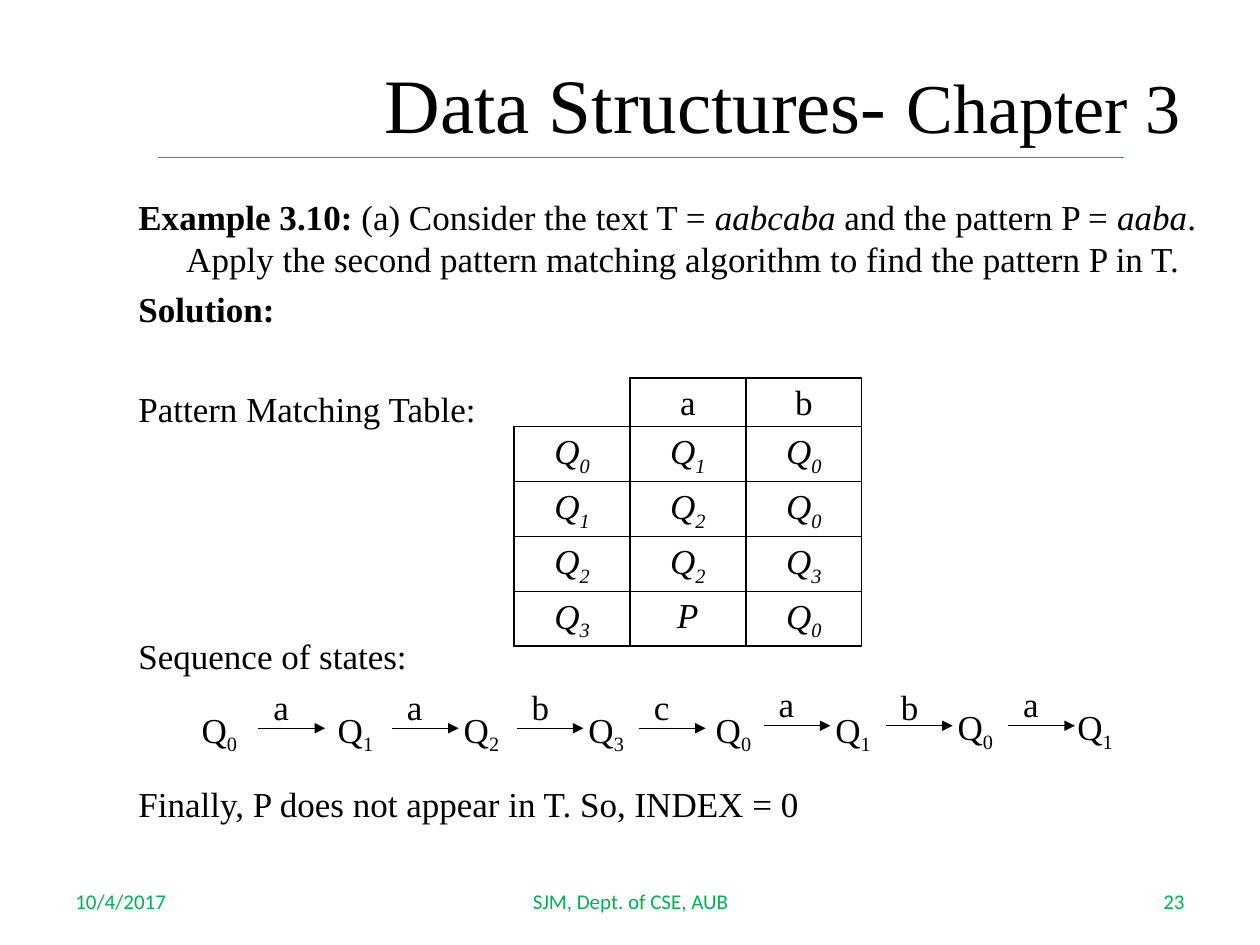
from dataclasses import dataclass

from lxml import etree
from pptx import Presentation
from pptx.dml.color import RGBColor
from pptx.enum import shapes, text
from pptx.oxml import ns
from pptx.util import Inches, Pt


@dataclass(frozen=True)
class Theme:
    ink: str = "000000"
    footer: str = "00B050"
    rule: str = "4B7EBC"
    serif: str = "Times New Roman"
    sans: str = "Calibri"
    title: int = 44
    chapter: int = 40
    body: int = 20
    small: int = 12


T = Theme()
LEFT, CENTER, RIGHT = (getattr(text.PP_ALIGN, a) for a in ("LEFT", "CENTER", "RIGHT"))
TOP, MIDDLE = text.MSO_ANCHOR.TOP, text.MSO_ANCHOR.MIDDLE
BOLD, ITALIC = {"bold": True}, {"italic": True}

# Content
TITLE = [("Data Structures- ", {"size": Pt(T.title)}),
         ("Chapter 3", {"size": Pt(T.chapter)})]
BODY = [  # (space before in points, runs)
    (4.8, [("Example 3.10:", BOLD), (" (a) Consider the text T = ", {}),
           ("aabcaba ", ITALIC), ("and the pattern P = ", {}), ("aaba", ITALIC),
           (". Apply the second pattern matching algorithm to find the pattern P in T.", {})]),
    (4.8, [("Solution:", BOLD)]),
    (33, [("Pattern Matching Table:", {})]),
    (117, [("Sequence of states:", {})]),
    (61, [("Finally, P does not appear in T. So, INDEX = 0", {})]),
]
TABLE = [["", "a", "b"],
         ["Q0", "Q1", "Q0"],
         ["Q1", "Q2", "Q0"],
         ["Q2", "Q2", "Q3"],
         ["Q3", "P", "Q0"]]
STATES = [("Q0", 1.6, 5.62), ("Q1", 2.68, 5.62), ("Q2", 3.68, 5.62), ("Q3", 4.67, 5.62),
          ("Q0", 5.68, 5.62), ("Q1", 6.63, 5.62), ("Q0", 7.6, 5.6), ("Q1", 8.55, 5.6)]
STEPS = [  # input letter, arrow left, arrow height, letter top
    ("a", 2.05, 5.78, 5.44), ("a", 3.11, 5.78, 5.44), ("b", 4.1, 5.78, 5.44),
    ("c", 5.07, 5.78, 5.44), ("a", 6.06, 5.76, 5.42), ("b", 7.03, 5.76, 5.44),
    ("a", 8, 5.76, 5.42)]
FOOTERS = [("10/4/2017", 0.5, 2.33, LEFT),
           ("SJM, Dept. of CSE, AUB", 3.42, 3.17, CENTER),
           ("23", 7.17, 2.33, RIGHT)]
ARROW_W, LETTER_DX = 0.53, 0.12
LABEL_W, LABEL_H = 0.41, 0.49
COL_W, ROW_H = 0.92, 0.38


def set_attrs(obj, values):
    for name, value in values.items():
        setattr(obj, name, value)


def add_runs(p, runs, color=T.ink, font=T.serif, size=T.body):
    for words, fmt in runs:
        r = p.add_run()
        r.text = words
        fmt = {"name": font, "size": Pt(size), **fmt}
        sub = fmt.pop("sub", False)
        set_attrs(r.font, fmt)
        r.font.color.rgb = RGBColor.from_string(color)
        if sub:
            r._r.get_or_add_rPr().set("baseline", "-25000")


def state_runs(name, **fmt):
    """Split a state such as Q0 into its letter and subscript."""
    runs = [(name[0], fmt)]
    if name[1:]:
        runs.append((name[1:], {**fmt, "sub": True}))
    return runs


def add_box(slide, x, y, w, h, anchor=TOP, inset=(0.1, 0.05)):
    sp = slide.shapes.add_textbox(*map(Inches, (x, y, w, h)))
    dx, dy = map(Inches, inset)
    set_attrs(sp.text_frame, {
        "word_wrap": True, "vertical_anchor": anchor, "margin_left": dx,
        "margin_right": dx, "margin_top": dy, "margin_bottom": dy})
    return sp.text_frame


def add_label(slide, name, x, y):
    p = add_box(slide, x, y, LABEL_W, LABEL_H, inset=(0, 0)).paragraphs[0]
    p.space_after = Pt(10)
    add_runs(p, state_runs(name))


def add_line(slide, x1, x2, y, color, arrow=False):
    line = slide.shapes.add_connector(
        shapes.MSO_CONNECTOR.STRAIGHT, *map(Inches, (x1, y, x2, y)))
    line.line.color.rgb = RGBColor.from_string(color)
    line.line.width = Pt(0.75)
    if arrow:
        etree.SubElement(line.line._get_or_add_ln(), ns.qn("a:tailEnd"), type="triangle")
    etree.SubElement(line._element.spPr, ns.qn("a:effectLst"))


def set_borders(cell, sides):
    tcPr = cell._tc.get_or_add_tcPr()
    for i, side in enumerate("LRTB"):
        ln = etree.Element(ns.qn(f"a:ln{side}"), w=str(Pt(1)))
        if side in sides:
            fill = etree.SubElement(ln, ns.qn("a:solidFill"))
            etree.SubElement(fill, ns.qn("a:srgbClr"), val=T.ink)
        else:
            etree.SubElement(ln, ns.qn("a:noFill"))
        tcPr.insert(i, ln)


def add_matching_table(slide):
    rows, cols = len(TABLE), len(TABLE[0])
    table = slide.shapes.add_table(
        rows, cols, *map(Inches, (4.08, 3, COL_W * cols, ROW_H * rows))).table
    set_attrs(table, {"first_row": False, "horz_banding": False})
    for col in table.columns:
        col.width = Inches(COL_W)
    for i, names in enumerate(TABLE):
        table.rows[i].height = Inches(ROW_H)
        for j, name in enumerate(names):
            cell = table.cell(i, j)
            set_attrs(cell, {"margin_left": Inches(0.07), "margin_right": Inches(0.07),
                             "margin_top": 0, "margin_bottom": 0})
            cell.fill.background()
            set_borders(cell, "LRTB" if name else "RB")
            p = cell.text_frame.paragraphs[0]
            set_attrs(p, {"alignment": CENTER, "line_spacing": 1.15})
            if name:
                add_runs(p, state_runs(name, italic=i > 0))


def main():
    prs = Presentation()
    prs.slide_width, prs.slide_height = Inches(10), Inches(7.5)
    slide = prs.slides.add_slide(prs.slide_layouts[5])

    # Title and rule
    title = slide.shapes.title
    set_attrs(title, dict(zip(("left", "top", "width", "height"),
                              map(Inches, (2.42, 0.38, 7.58, 0.87)))))
    title.text_frame.vertical_anchor = MIDDLE
    p = title.text_frame.paragraphs[0]
    p.alignment = CENTER
    add_runs(p, TITLE)
    add_line(slide, 1.25, 8.92, 1.25, T.rule)

    # Body with hanging indents
    tf = add_box(slide, 1, 1.5, 9, 5.5)
    for i, (before, runs) in enumerate(BODY):
        p = tf.add_paragraph() if i else tf.paragraphs[0]
        p.space_before = Pt(before)
        pPr = p._p.get_or_add_pPr()
        pPr.set("marL", str(Inches(0.38)))
        pPr.set("indent", str(-Inches(0.38)))
        add_runs(p, runs)

    add_matching_table(slide)

    # Sequence of states
    for name, x, y in STATES:
        add_label(slide, name, x, y)
    for letter, x, y, top in STEPS:
        add_line(slide, x, x + ARROW_W, y, T.ink, arrow=True)
        add_label(slide, letter, x + LETTER_DX, top)

    # Footer
    for words, x, w, align in FOOTERS:
        p = add_box(slide, x, 6.95, w, 0.4, MIDDLE).paragraphs[0]
        p.alignment = align
        add_runs(p, [(words, {})], T.footer, T.sans, T.small)

    prs.save("out.pptx")


if __name__ == "__main__":
    main()
